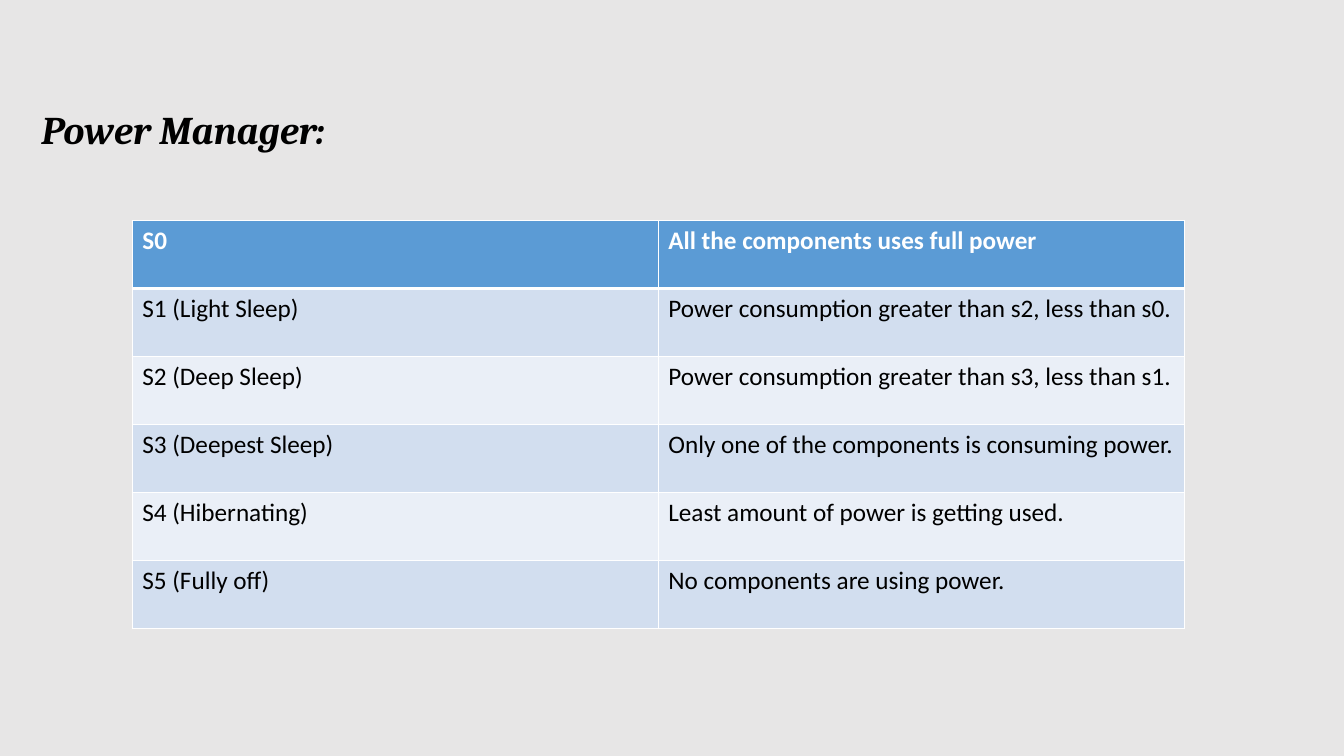
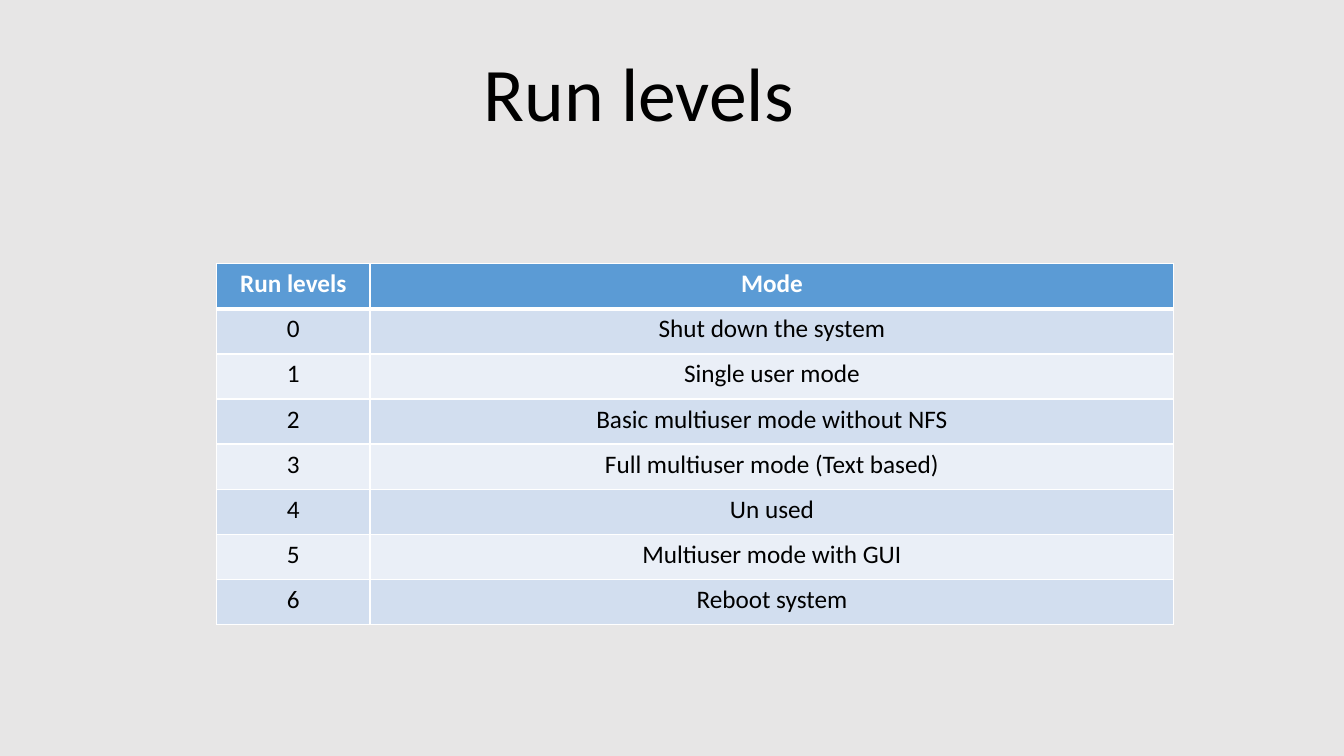
from pptx import Presentation
from pptx.dml.color import RGBColor as RGB
from pptx.enum.text import MSO_AUTO_SIZE as FIT, PP_ALIGN as AL
from pptx.oxml import parse_xml
from pptx.oxml.ns import nsdecls
from pptx.util import Inches, Pt

GREY = RGB(0xE7, 0xE6, 0xE6)
BLACK = RGB(0, 0, 0)
WHITE = RGB(0xFF, 0xFF, 0xFF)
BLUE = RGB(0x5B, 0x9B, 0xD5)
BANDS = RGB(0xEA, 0xEF, 0xF7), RGB(0xD2, 0xDE, 0xEF)

deck = Presentation()
deck.slide_width, deck.slide_height = Inches(13.33), Inches(7.5)
deck.slide_master.background.fill.solid()
deck.slide_master.background.fill.fore_color.rgb = GREY

# The page is a grid of 160 columns by 90 rows.
COL, ROW = deck.slide_width / 160, deck.slide_height / 90


def write(frame, text, size=18, font="Calibri", color=BLACK, bold=False,
          italic=False, align=AL.LEFT):
    para = frame.paragraphs[0]
    para.alignment = align
    run = para.add_run()
    run.text = text
    face = run.font
    face.size, face.name, face.color.rgb = Pt(size), font, color
    face.bold, face.italic = bold, italic


def edge(cell, side, width):
    """Draw one white border; call before the cell is filled."""
    cell._tc.get_or_add_tcPr().append(parse_xml(
        f'<a:ln{side} {nsdecls("a")} w="{Pt(width)}"><a:solidFill>'
        f'<a:srgbClr val="{WHITE}"/></a:solidFill></a:ln{side}>'))


PAGES = [
    {
        "title": "Power Manager:",
        "box": (3.75, 12, 37.4, 6.85),
        "style": {"size": 28, "font": "Cambria", "bold": True, "italic": True},
        "left": 15.75, "top": 26.25, "cols": (62.62, 62.62), "high": 8.1,
        "align": AL.LEFT,
        "rows": [
            ("S0", "All the components uses full power"),
            ("S1 (Light Sleep)", "Power consumption greater than s2, less than s0."),
            ("S2 (Deep Sleep)", "Power consumption greater than s3, less than s1."),
            ("S3 (Deepest Sleep)", "Only one of the components is consuming power."),
            ("S4 (Hibernating)", "Least amount of power is getting used."),
            ("S5 (Fully off)", "No components are using power."),
        ],
    },
    {
        "title": "Run levels",
        "box": (56.2, 4.9, 39.7, 12.1),
        "style": {"size": 54, "align": AL.CENTER},
        "left": 25.8, "top": 31.4, "cols": (18.25, 95.7), "high": 5.37,
        "align": AL.CENTER,
        "rows": [
            ("Run levels", "Mode"),
            ("0", "Shut down the system"),
            ("1", "Single user mode"),
            ("2", "Basic multiuser mode without NFS"),
            ("3", "Full multiuser mode (Text based)"),
            ("4", "Un used"),
            ("5", "Multiuser mode with GUI"),
            ("6", "Reboot system"),
        ],
    },
]

for page in PAGES:
    slide = deck.slides.add_slide(deck.slide_layouts[6])

    x, y, wide, high = page["box"]
    frame = slide.shapes.add_textbox(
        int(x * COL), int(y * ROW), int(wide * COL), int(high * ROW)).text_frame
    frame.word_wrap = False
    frame.auto_size = FIT.SHAPE_TO_FIT_TEXT
    write(frame, page["title"], **page["style"])

    rows, cols = page["rows"], page["cols"]
    table = slide.shapes.add_table(
        len(rows), len(cols), int(page["left"] * COL), int(page["top"] * ROW),
        int(sum(cols) * COL), int(len(rows) * page["high"] * ROW)).table
    for c, wide in enumerate(cols):
        table.columns[c].width = int(wide * COL)

    for r, texts in enumerate(rows):
        table.rows[r].height = int(page["high"] * ROW)
        head = r == 0
        for c, text in enumerate(texts):
            cell = table.cell(r, c)
            edge(cell, "L", 1)
            edge(cell, "R", 1)
            edge(cell, "T", 3 if r == 1 else 1)
            edge(cell, "B", 3 if head else 1)
            cell.fill.solid()
            cell.fill.fore_color.rgb = BLUE if head else BANDS[r % 2]
            write(cell.text_frame, text, bold=head, align=page["align"],
                  color=WHITE if head else BLACK)

deck.save("out.pptx")
